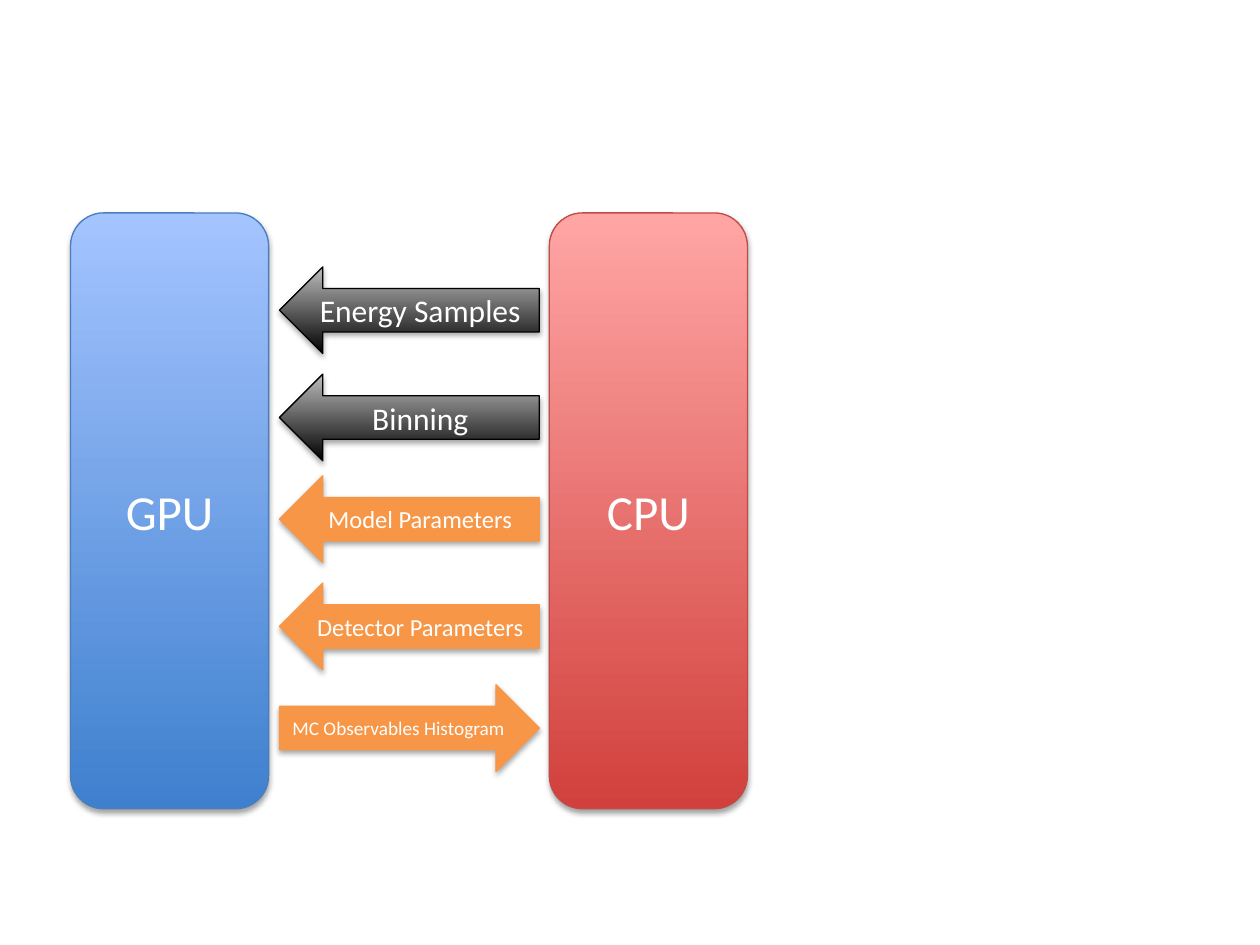
"""Builds a slide showing the data exchanged between GPU and CPU."""
from dataclasses import dataclass

from lxml import etree
from pptx import Presentation
from pptx.dml.color import RGBColor
from pptx.enum.shapes import MSO_SHAPE
from pptx.enum.text import MSO_ANCHOR, PP_ALIGN
from pptx.oxml.ns import qn
from pptx.util import Pt


@dataclass(frozen=True)
class Theme:
    font: str = "Calibri"
    text: str = "FFFFFF"
    shadow: str = "000000"
    gpu: tuple = ("3F80CE", "A4C4FF", "4B7EBC")
    cpu: tuple = ("D1403C", "FFA6A5", "BF4C48")
    setup: tuple = ("000000", "BDBDBD", "000000")
    step: tuple = ("F79646", "F79646", "F79646")
    unit_size: int = 28
    setup_size: int = 18
    step_size: int = 14
    result_size: int = 11


THEME = Theme()

UNITS = [("GPU", THEME.gpu), ("CPU", THEME.cpu)]
TRANSFER_GROUPS = [
    [("Energy Samples", THEME.setup, THEME.setup_size, "to GPU"),
     ("Binning", THEME.setup, THEME.setup_size, "to GPU")],
    [("Model Parameters", THEME.step, THEME.step_size, "to GPU"),
     ("Detector Parameters", THEME.step, THEME.step_size, "to GPU")],
    [("MC Observables Histogram", THEME.step, THEME.result_size, "to CPU")],
]

UNIT_LEFT, UNIT_TOP, UNIT_WIDTH, UNIT_HEIGHT = 40.3, 121.7, 113.2, 340.5
UNIT_PITCH = 273.6
ARROW_LEFT, ARROW_TOP, ARROW_WIDTH, ARROW_HEIGHT = 159.7, 152.5, 148.5, 49.6
GROUP_PITCH, ARROW_PITCH = 119.4, 61.3


def add_soft_shadow(shape):
    effects = etree.SubElement(shape.element.spPr, qn("a:effectLst"))
    shadow = etree.SubElement(
        effects, qn("a:outerShdw"), blurRad=str(Pt(3.15)), dist=str(Pt(1.8)),
        dir="5400000", rotWithShape="0")
    color = etree.SubElement(shadow, qn("a:srgbClr"), val=THEME.shadow)
    etree.SubElement(color, qn("a:alpha"), val="35000")


def add_block(slide, kind, box, label, colors, size):
    shape = slide.shapes.add_shape(kind, *map(Pt, box))
    bottom, top, outline = map(RGBColor.from_string, colors)
    if bottom == top:
        shape.fill.solid()
        shape.fill.fore_color.rgb = bottom
    else:
        shape.fill.gradient()
        shape.fill.gradient_angle = 90
        for stop, color in zip(shape.fill.gradient_stops, (bottom, top)):
            stop.color.rgb = color
    shape.line.color.rgb = outline
    shape.line.width = Pt(0.75)
    add_soft_shadow(shape)

    frame = shape.text_frame
    frame.word_wrap = True
    frame.vertical_anchor = MSO_ANCHOR.MIDDLE
    paragraph = frame.paragraphs[0]
    paragraph.alignment = PP_ALIGN.CENTER
    run = paragraph.add_run()
    run.text = label
    run.font.name = THEME.font
    run.font.size = Pt(size)
    run.font.color.rgb = RGBColor.from_string(THEME.text)
    return shape


def main():
    deck = Presentation()
    deck.slide_width, deck.slide_height = Pt(720), Pt(540)
    slide = deck.slides.add_slide(deck.slide_layouts[6])

    for column, (label, colors) in enumerate(UNITS):
        box = (UNIT_LEFT + column * UNIT_PITCH, UNIT_TOP, UNIT_WIDTH, UNIT_HEIGHT)
        add_block(slide, MSO_SHAPE.ROUNDED_RECTANGLE, box, label, colors, THEME.unit_size)

    for group, transfers in enumerate(TRANSFER_GROUPS):
        for row, (label, colors, size, direction) in enumerate(transfers):
            top = ARROW_TOP + group * GROUP_PITCH + row * ARROW_PITCH
            box = (ARROW_LEFT, top, ARROW_WIDTH, ARROW_HEIGHT)
            arrow = add_block(slide, MSO_SHAPE.RIGHT_ARROW, box, label, colors, size)
            if direction == "to GPU":
                arrow.element.spPr.find(qn("a:xfrm")).set("flipH", "1")

    deck.save("out.pptx")


main()
